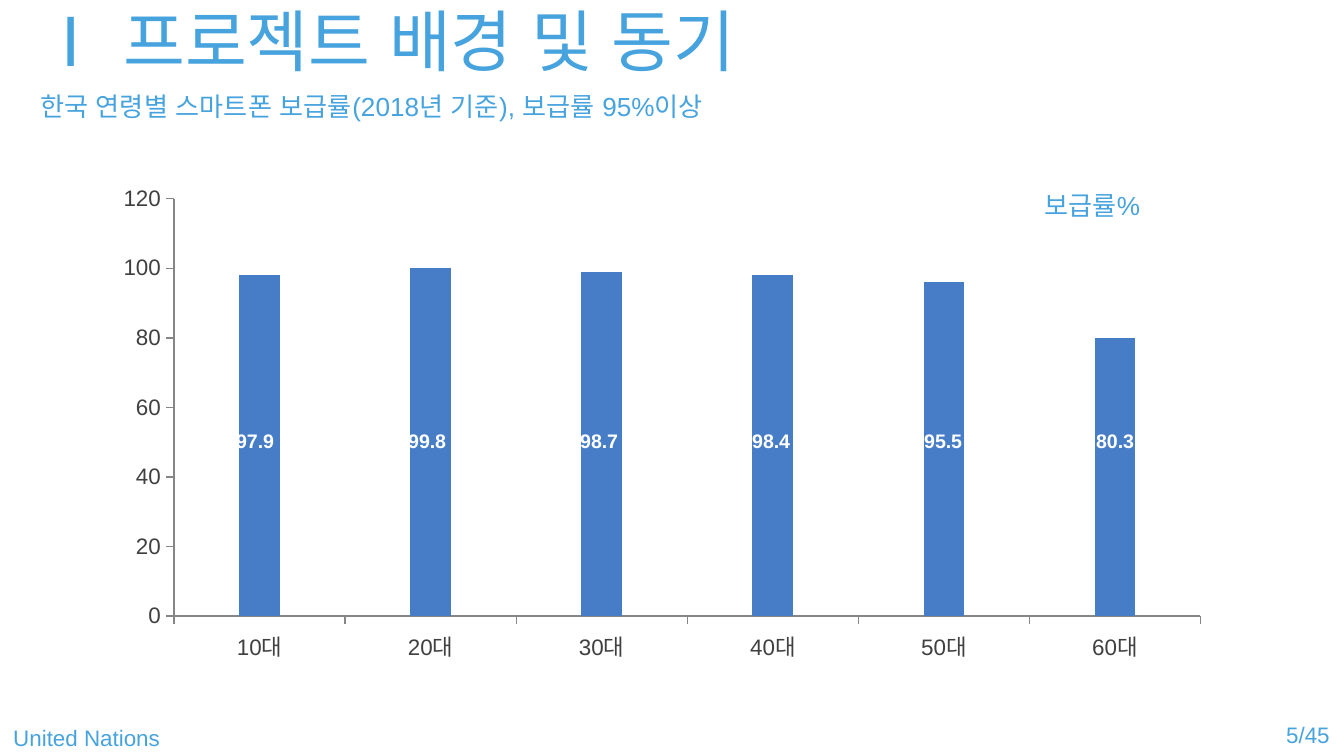
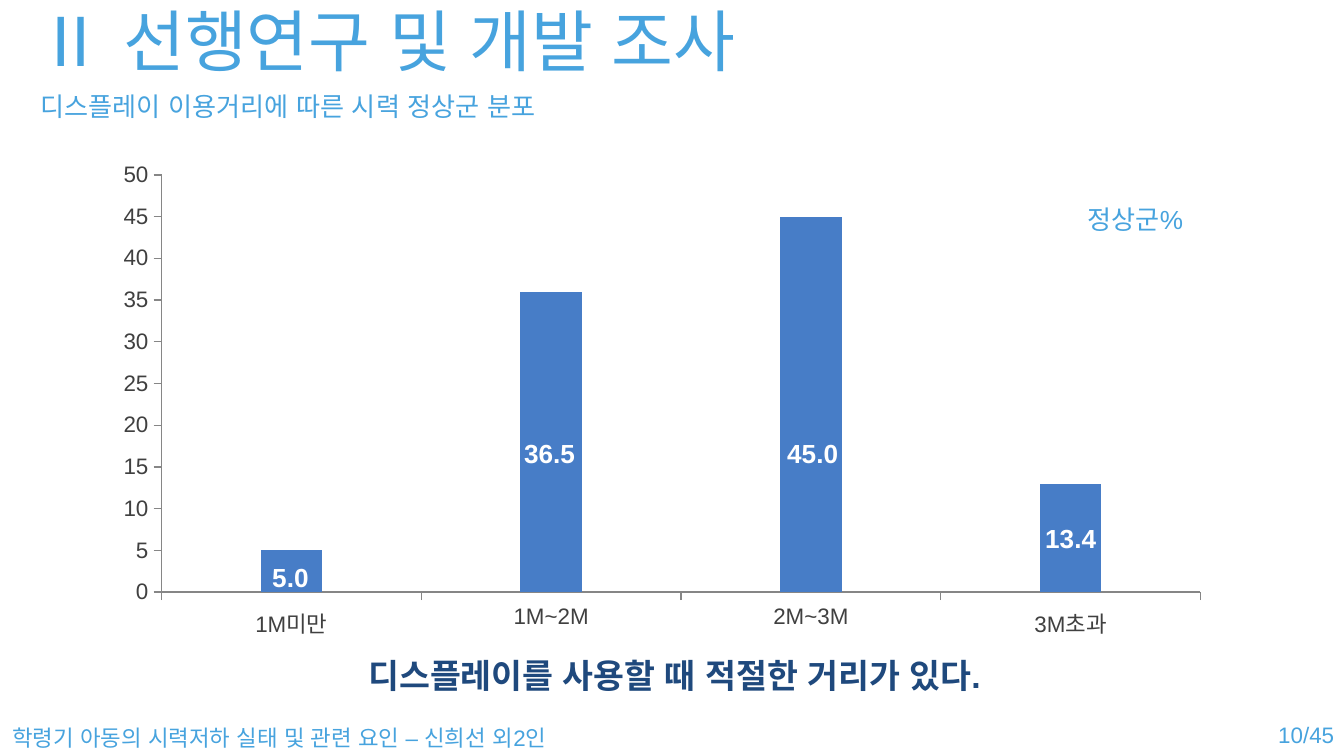
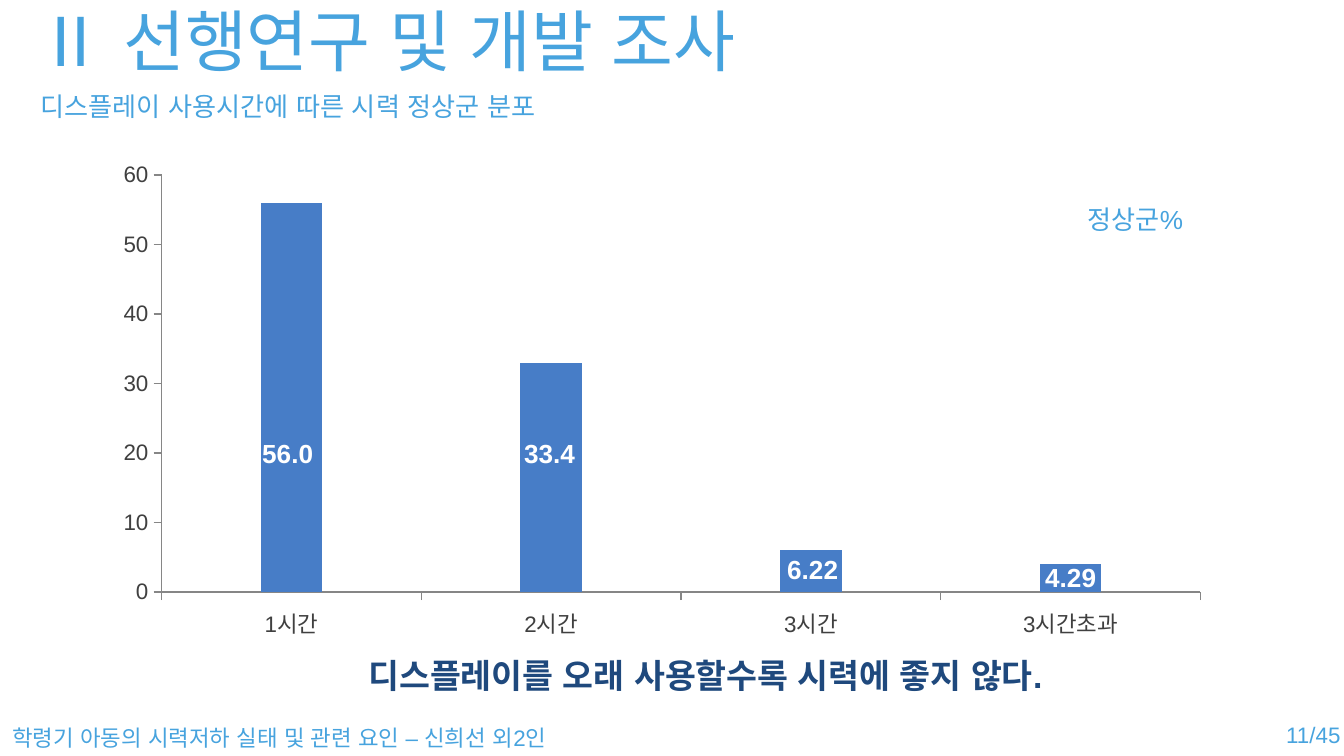
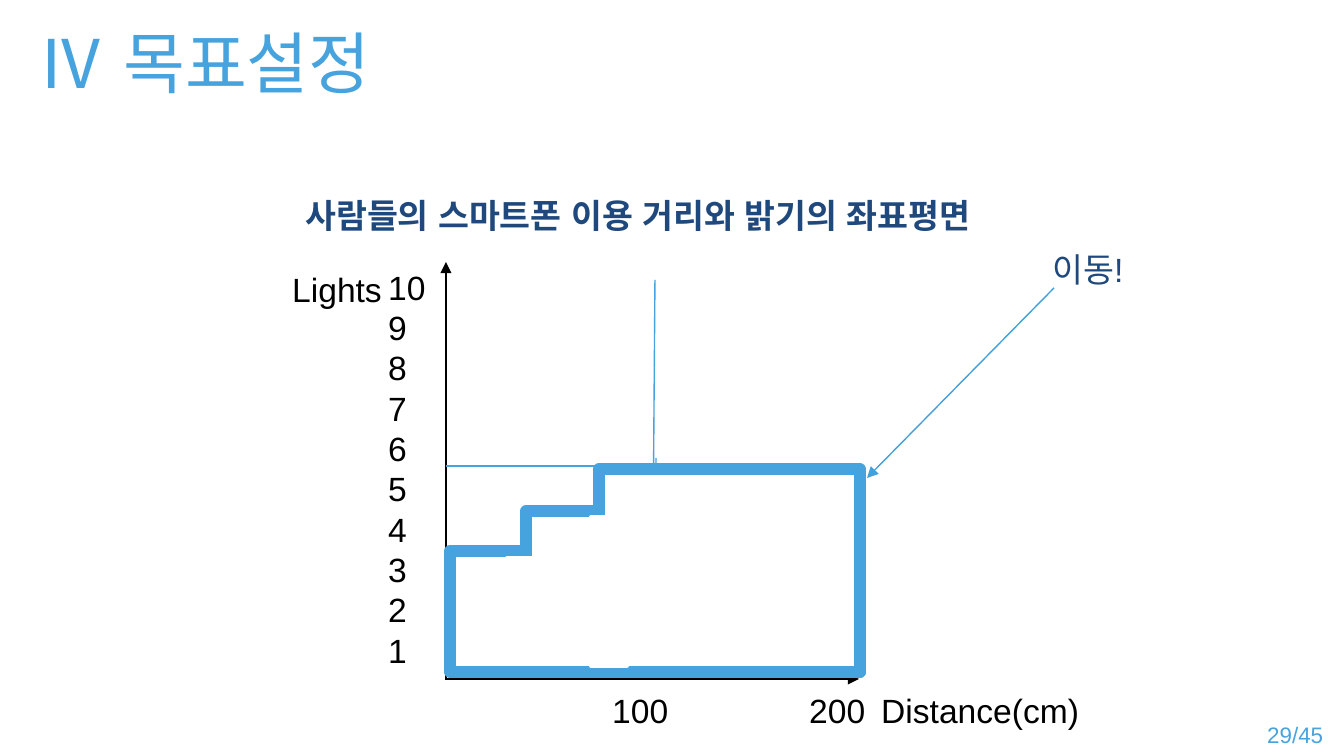
from dataclasses import dataclass

from lxml.etree import SubElement
from pptx import Presentation
from pptx.chart.data import CategoryChartData
from pptx.dml.color import RGBColor
from pptx.enum.chart import XL_CHART_TYPE, XL_TICK_MARK
from pptx.enum.shapes import MSO_CONNECTOR, MSO_SHAPE
from pptx.enum.text import MSO_ANCHOR, MSO_AUTO_SIZE, PP_ALIGN
from pptx.oxml.ns import qn
from pptx.util import Emu, Pt

SCALE = 914400 / 134.4


@dataclass(frozen=True)
class Theme:
    """Colours, type sizes and font shared by all slides."""

    face: str = "Arial"
    sky: str = "47A3DE"
    arrow: str = "42A0DD"
    navy: str = "1F497D"
    bar: str = "477DC7"
    pale: str = "B5CBE9"
    white: str = "FFFFFF"
    black: str = "000000"
    dark: str = "404040"
    axis: str = "868686"
    title: float = 36
    head: float = 18
    sub: float = 14
    small: float = 12
    tag: float = 10.5


def px(size):
    """Turn px into EMU."""
    return Emu(round(size * SCALE))


def rgb(code):
    """Turn a hex code into a colour."""
    return RGBColor.from_string(code)


class Deck:
    """Holds the theme and the current slide, and draws each element."""

    def __init__(self):
        """Start an empty deck."""
        self.theme = Theme()
        self.show = Presentation()
        self.show.slide_width, self.show.slide_height = px(1344), px(756)
        self.slide = None

    def style(self, font, size, color, bold=False):
        """Set face, size, colour and weight of a font."""
        font.name, font.size, font.bold = self.theme.face, Pt(size), bold
        font.color.rgb = rgb(color)

    def asian(self, box):
        """Use the face of the theme for Korean text too."""
        for props in box.element.iter(qn("a:defRPr")):
            SubElement(props, qn("a:ea"), typeface=self.theme.face)

    def start(self, title, page, left, top=-3):
        """Add a slide with its title and page number."""
        layout = self.show.slide_layouts[5]
        self.slide = self.show.slides.add_slide(layout)
        box = self.slide.shapes.title
        box.left, box.top, box.width, box.height = map(px, (24, top, 1048, 85))
        frame = box.text_frame
        frame.text = title
        frame.auto_size = MSO_AUTO_SIZE.NONE
        frame.vertical_anchor = MSO_ANCHOR.MIDDLE
        line = frame.paragraphs[0]
        line.alignment = PP_ALIGN.LEFT
        self.style(line.font, self.theme.title, self.theme.sky)
        self.asian(box)
        self.text(page, (left, 715, 12 * len(page) + 23, 40),
                  self.theme.small, self.theme.sky, wrap=False)

    def text(self, words, area, size, color, bold=False, wrap=True,
             grow=True, align=PP_ALIGN.LEFT, lead=None):
        """Add a text box, one paragraph for each line of words."""
        box = self.slide.shapes.add_textbox(*map(px, area))
        frame = box.text_frame
        frame.text = words
        frame.word_wrap = wrap
        if grow:
            frame.auto_size = MSO_AUTO_SIZE.SHAPE_TO_FIT_TEXT
        else:
            frame.auto_size = MSO_AUTO_SIZE.NONE
            frame.vertical_anchor = MSO_ANCHOR.MIDDLE
        for line in frame.paragraphs:
            line.alignment = align
            if lead:
                line.line_spacing = Pt(lead)
            self.style(line.font, size, color, bold)
        self.asian(box)

    def label(self, words, left, top, width):
        """Add a sky-blue label centred on its height."""
        self.text(words, (left, top, width, 42), self.theme.sub,
                  self.theme.sky, grow=False)

    def source(self, words, left, width):
        """Add the source at the foot of the slide."""
        self.text(words, (left, 718, width, 40), self.theme.small,
                  self.theme.sky, wrap=False)

    def note(self, words, left, top, width, wrap=False):
        """Add a bold navy statement."""
        self.text(words, (left, top, width, 54), self.theme.head,
                  self.theme.navy, bold=True, wrap=wrap)

    def tags(self, marks, size, unit, height):
        """Add the white values on the bars, as wide as their digits."""
        for words, left, top in marks:
            area = left, top, unit * len(words) + 18, height
            self.text(words, area, size, self.theme.white, bold=True,
                      wrap=False)

    def chart(self, top, names, values, peak, step):
        """Add a stacked column chart whose first series holds the values."""
        theme = self.theme
        hues = theme.bar, theme.sky, theme.pale, theme.bar
        data = CategoryChartData()
        data.categories = names
        for rank in range(len(hues)):
            data.add_series(f"Series {rank + 1}",
                            [None] * len(names) if rank else values)
        chart = self.slide.shapes.add_chart(
            XL_CHART_TYPE.COLUMN_STACKED, px(101), px(top), px(1122), px(496),
            data).chart
        chart.has_legend = chart.has_title = False
        self.style(chart.font, theme.head, theme.black)
        plot = chart.plots[0]
        plot.gap_width, plot.overlap = 321, 100
        plot.vary_by_categories = False
        for row, hue in zip(plot.series, hues):
            row.format.fill.solid()
            row.format.fill.fore_color.rgb = rgb(hue)
        for axis in (chart.category_axis, chart.value_axis):
            axis.has_major_gridlines = False
            axis.major_tick_mark = XL_TICK_MARK.OUTSIDE
            axis.format.line.color.rgb = rgb(theme.axis)
            axis.format.line.width = Pt(0.75)
            self.style(axis.tick_labels.font, theme.small, theme.dark)
        scale = chart.value_axis
        scale.minimum_scale, scale.maximum_scale = 0, peak
        scale.major_unit = step

    def line(self, ends, color, arrow=False):
        """Add a thin straight line, with an arrowhead if asked."""
        link = self.slide.shapes.add_connector(
            MSO_CONNECTOR.STRAIGHT, *map(px, ends))
        link.line.color.rgb = rgb(color)
        link.line.width = Pt(0.75)
        props = link.element.spPr
        if arrow:
            SubElement(props.find(qn("a:ln")), qn("a:tailEnd"), type="triangle")
        SubElement(props, qn("a:effectLst"))

    def block(self, area, edge, width):
        """Add a white rectangle with a coloured edge."""
        box = self.slide.shapes.add_shape(MSO_SHAPE.RECTANGLE, *map(px, area))
        box.shadow.inherit = False
        box.fill.solid()
        box.fill.fore_color.rgb = rgb(self.theme.white)
        box.line.color.rgb = rgb(edge)
        box.line.width = Pt(width)


def phones(deck):
    """Build the slide on phone use by age."""
    rates = [97.9, 99.8, 98.7, 98.4, 95.5, 80.3]
    ages = [f"{age}대" for age in range(10, 70, 10)]
    deck.start("Ⅰ 프로젝트 배경 및 동기", "5/45", 1273)
    deck.label("한국 연령별 스마트폰 보급률(2018년 기준), 보급률 95%이상", 27, 85, 1048)
    deck.chart(177, ages, [round(rate) for rate in rates], 120, 20)
    deck.source("United Nations", 0, 175)
    marks = [(str(rate), 223 + 172 * rank, 422)
             for rank, rate in enumerate(rates)]
    deck.tags(marks, deck.theme.tag, 12, 38)
    deck.label("보급률%", 1031, 184, 133)


def sight(deck, page, left, topic, names, marks, peak, step, claim, width):
    """Build a slide on normal eyesight by one factor."""
    deck.start("Ⅱ 선행연구 및 개발 조사", page, left)
    deck.label(f"디스플레이 {topic}에 따른 시력 정상군 분포", 27, 85, 1048)
    deck.source("학령기 아동의 시력저하 실태 및 관련 요인 – 신희선 외2인", -1, 607)
    values = [round(float(mark[0])) for mark in marks]
    deck.chart(153, names, values, peak, step)
    deck.label("정상군%", 1074, 198, 133)
    deck.tags(marks, deck.theme.sub, 15, 46)
    deck.note(claim, 355, 648, width)


def goal(deck):
    """Build the slide with the plane of distance and light."""
    theme = deck.theme
    deck.start("Ⅳ 목표설정", "29/45", 1254, top=19)
    deck.note("사람들의 스마트폰 이용 거리와 밝기의 좌표평면", 292, 188, 831, wrap=True)
    deck.line((446, 680, 446, 262), theme.black, arrow=True)
    deck.line((446, 679, 859, 679), theme.black, arrow=True)
    deck.text("Lights", (24, 262, 371, 77), theme.head, theme.black,
              align=PP_ALIGN.RIGHT)
    deck.text("Distance(cm)", (868, 683, 226, 95), theme.head, theme.black)
    deck.line((446, 466, 859, 466), theme.sky)
    deck.line((655, 280, 652, 677), theme.sky)
    deck.text("\n".join(str(level) for level in range(10, 0, -1)),
              (375, 260, 91, 421), theme.head, theme.black, lead=21.6)
    for rank, (left, top) in enumerate([(450, 551), (526, 511), (599, 469)]):
        deck.block((left, top, 860 - left, 672 - top), theme.sky, 6)
        if rank == 0:
            deck.line((656, 458, 657, 664), theme.sky)
    for left, top, height in [(507, 558, 106), (591, 517, 149)]:
        deck.block((left, top, 36, height), theme.white, 2)
    for words, left in [("200", 796), ("100", 599)]:
        deck.text(words, (left, 683, 91, 54), theme.head, theme.black)
    deck.line((1054, 288, 867, 478), theme.arrow, arrow=True)
    deck.text("이동!", (1039, 242, 226, 54), theme.head, theme.navy)


def main():
    """Build and save the deck."""
    deck = Deck()
    phones(deck)
    sight(deck, "10/45", 1265, "이용거리",
          ["1M미만", "1M~2M", "2M~3M", "3M초과"],
          [("5.0", 259, 555), ("36.5", 511, 431),
           ("45.0", 774, 431), ("13.4", 1032, 516)],
          50, 5, "디스플레이를 사용할 때 적절한 거리가 있다.", 695)
    sight(deck, "11/45", 1273, "사용시간",
          ["1시간", "2시간", "3시간", "3시간초과"],
          [("56.0", 249, 431), ("33.4", 511, 431),
           ("6.22", 774, 547), ("4.29", 1032, 555)],
          60, 10, "디스플레이를 오래 사용할수록 시력에 좋지 않다.", 762)
    goal(deck)
    deck.show.save("out.pptx")


if __name__ == "__main__":
    main()
